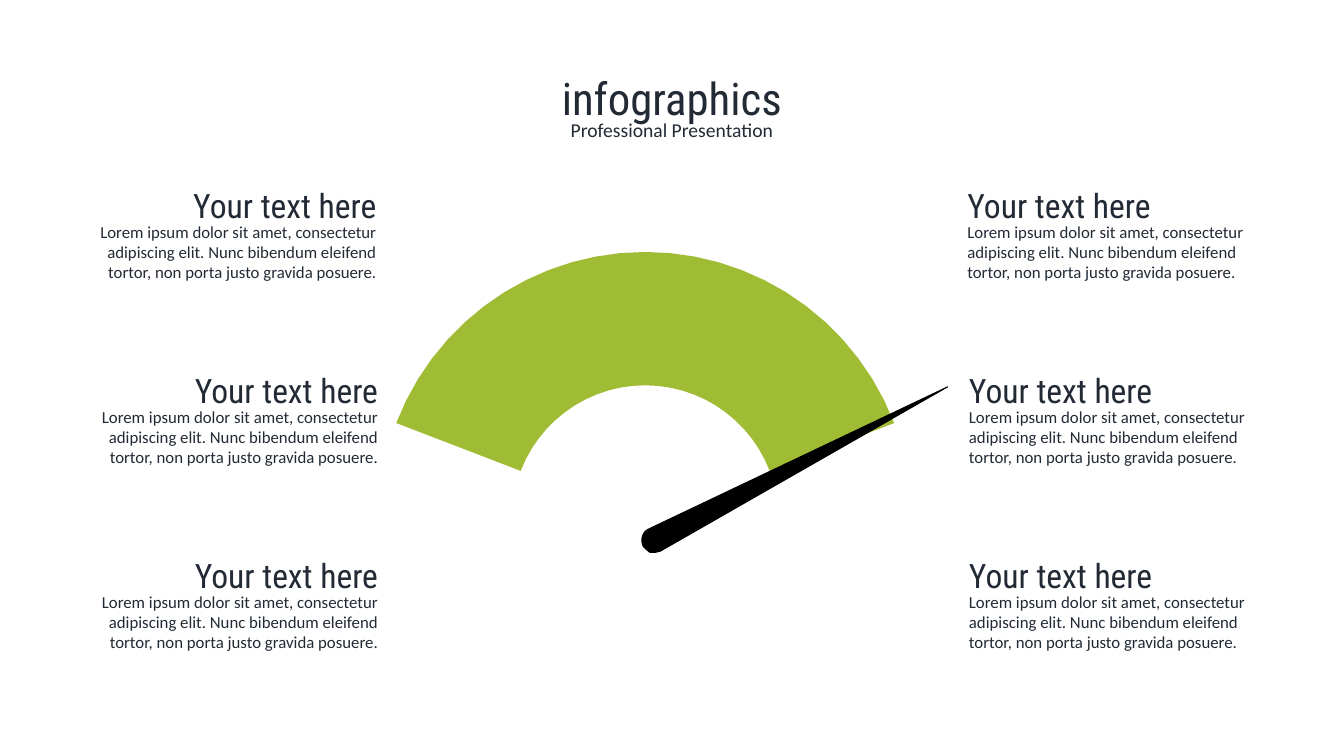
from math import cos, radians, sin

from pptx import Presentation
from pptx.dml.color import RGBColor
from pptx.enum.text import MSO_AUTO_SIZE, PP_ALIGN
from pptx.util import Cm, Pt

HEADING_FONT = "Roboto Condensed"
BODY_FONT = "Calibri"
TEXT_COLOR = "222A35"
HEADING = "Your text here"
BODY = ("Lorem ipsum dolor sit amet, consectetur adipiscing elit. "
        "Nunc bibendum eleifend tortor, non porta justo gravida posuere.")

# Needle outline in centimetres, from the tip around the rounded hub
NEEDLE = [(23.88, 9.75), (16.64, 13.89), (16.51, 13.92), (16.38, 13.92),
          (16.28, 13.84), (16.21, 13.77), (16.18, 13.67), (16.18, 13.56),
          (16.21, 13.46), (16.26, 13.39), (16.33, 13.34)]


def color(value):
    return RGBColor.from_string(value)


def add_text(slide, text, left, top, width, height, size, font, align):
    box = slide.shapes.add_textbox(Cm(left), Cm(top), Cm(width), Cm(height))
    frame = box.text_frame
    frame.word_wrap = True
    frame.auto_size = MSO_AUTO_SIZE.SHAPE_TO_FIT_TEXT
    paragraph = frame.paragraphs[0]
    paragraph.text = text
    paragraph.alignment = align
    paragraph.font.size = Pt(size)
    paragraph.font.name = font
    paragraph.font.color.rgb = color(TEXT_COLOR)


def add_outline(slide, points, fill, line=None):
    corners = [(Cm(x), Cm(y)) for x, y in points]
    builder = slide.shapes.build_freeform(*corners[0])
    builder.add_line_segments(corners[1:], close=True)
    shape = builder.convert_to_shape()
    shape.shadow.inherit = False
    shape.fill.solid()
    shape.fill.fore_color.rgb = color(fill)
    if line:
        shape.line.color.rgb = color(line)
        shape.line.width = Pt(0)
    else:
        shape.line.fill.background()


def arc_points(radius, start, end, steps=26):
    center_x, center_y = 16.26, 13.07
    angles = [radians(start + (end - start) * i / steps) for i in range(steps + 1)]
    return [(center_x + radius * cos(a), center_y - radius * sin(a)) for a in angles]


def add_gauge(slide):
    dial = arc_points(6.72, 159, 21) + arc_points(3.36, 21, 159)
    add_outline(slide, dial, "A0BC34")
    add_outline(slide, NEEDLE, "000000", line="000000")


def add_text_block(slide, left, top, align):
    add_text(slide, BODY, left, top + 0.93, 8.15, 1.8, 12, BODY_FONT, align)
    add_text(slide, HEADING, left, top, 8.15, 1.27, 24, HEADING_FONT, align)


def main():
    presentation = Presentation()
    presentation.slide_width = Cm(33.87)
    presentation.slide_height = Cm(19.05)
    slide = presentation.slides.add_slide(presentation.slide_layouts[6])

    add_gauge(slide)

    # Three text blocks on each side of the gauge, the top pair slightly left
    for row in range(3):
        top = 4.53 + 4.66 * row
        shift = 0.04 if row else 0
        add_text_block(slide, 24.13 + shift, top, PP_ALIGN.LEFT)
        add_text_block(slide, 1.59 + shift, top, PP_ALIGN.RIGHT)

    # Title and subtitle
    add_text(slide, "infographics", 2.24, 1.65, 29.39, 1.62, 32,
             HEADING_FONT, PP_ALIGN.CENTER)
    add_text(slide, "Professional Presentation", 2.24, 2.84, 29.39, 0.86, 14,
             BODY_FONT, PP_ALIGN.CENTER)

    presentation.save("out.pptx")


if __name__ == "__main__":
    main()
